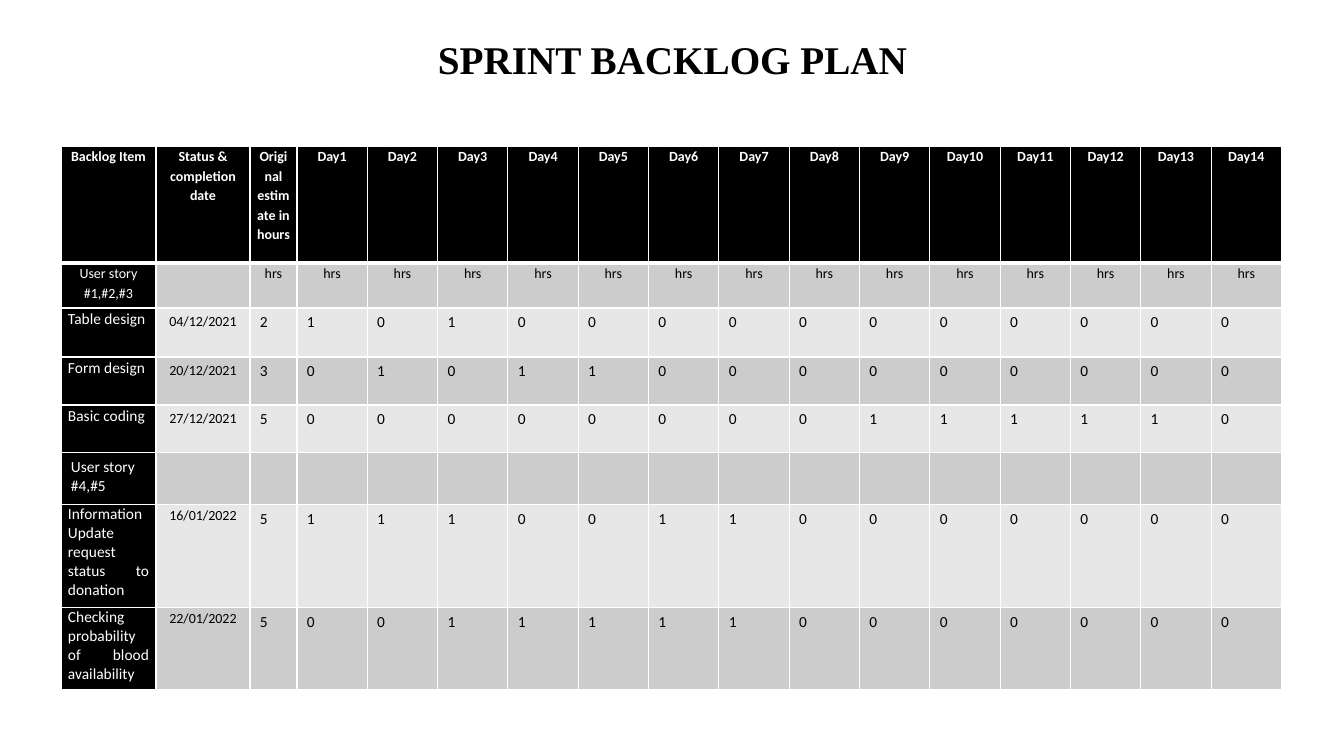
"""Build the sprint backlog plan slide."""
from lxml import etree
from pptx import Presentation
from pptx import util as u
from pptx.dml.color import RGBColor
from pptx.enum import text as t
from pptx.oxml.ns import qn

TITLE = "SPRINT BACKLOG PLAN"
DAYS = 14
ROWS = [
    ["Backlog Item", "Status & completion date", "Original estimate in hours"]
    + [f"Day{n + 1}" for n in range(DAYS)],
    ["User story #1,#2,#3", ""] + ["hrs"] * (DAYS + 1),
    ["Table design", "04/12/2021", "2", *"10100000000000"],
    ["Form design", "20/12/2021", "3", *"01011000000000"],
    ["Basic coding", "27/12/2021", "5", *"00000000111110"],
    ["User story #4,#5"] + [""] * (DAYS + 2),
    ["Information Update request status to donation", "16/01/2022", "5",
     *"11100110000000"],
    ["Checking probability of blood availability", "22/01/2022", "5",
     *"00111110000000"],
]
HIGH = [117, 45, 49, 48, 48, 52, 103, 82]
LEAD = [95, 94, 47]
LEFT, TOP, SPAN = 61, 146, 985

BLACK = RGBColor(0, 0, 0)
WHITE = RGBColor(255, 255, 255)
DARK = RGBColor(0xCC, 0xCC, 0xCC)
LIGHT = RGBColor(0xE7, 0xE7, 0xE7)

MID, JUST, FLUSH = t.PP_ALIGN.CENTER, t.PP_ALIGN.JUSTIFY, t.PP_ALIGN.LEFT
HEAD = (7, 0, 10, MID, 1.15)
ITEM = (7, 0, 11, FLUSH, 1.07)
LONG = (7, 0, 11, JUST, 1.0)
DATE = (11, 5, 10, MID, 1.0)
PLAIN = (10, 5, 11, FLUSH, 1.0)


def px(n):
    return u.Emu(round(n * 914400 / 100.8))


def look(row, col):
    if row < 2:
        return HEAD
    if row == 5 or col > 1:
        return PLAIN
    if col == 1:
        return DATE if row < 5 else HEAD
    return ITEM if row < 5 else LONG


def edge(cell, row):
    props = cell._tc.get_or_add_tcPr()
    wide = {"lnT": 3 if row == 1 else 1, "lnB": 3 if row == 0 else 1}
    for side in ("lnL", "lnR", "lnT", "lnB"):
        line = etree.SubElement(props, qn(f"a:{side}"),
                                w=str(u.Pt(wide.get(side, 1))))
        fill = etree.SubElement(line, qn("a:solidFill"))
        etree.SubElement(fill, qn("a:srgbClr"), val=str(WHITE))


def write(frame, words, font, size, color, bold, align, space):
    frame.text = words
    para = frame.paragraphs[0]
    para.alignment, para.line_spacing = align, space
    for run in para.runs:
        run.font.name, run.font.size = font, u.Pt(size)
        run.font.bold, run.font.color.rgb = bold, color


def paint(cell, row, col, words):
    side, rim, size, align, space = look(row, col)
    black = row == 0 or col == 0
    edge(cell, row)
    cell.fill.solid()
    cell.fill.fore_color.rgb = BLACK if black else DARK if row % 2 else LIGHT
    cell.margin_left = cell.margin_right = px(side)
    cell.margin_top = cell.margin_bottom = px(rim)
    write(cell.text_frame, words, "Calibri", size,
          WHITE if black else BLACK, row == 0, align, space)


def main():
    deck = Presentation()
    deck.slide_width, deck.slide_height = px(1344), px(756)
    slide = deck.slides.add_slide(deck.slide_layouts[5])

    title = slide.shapes.title
    title.left, title.top, title.width, title.height = map(
        px, (93, 25, 1159, 146))
    frame = title.text_frame
    frame.vertical_anchor = t.MSO_ANCHOR.TOP
    frame.margin_top = px(16)
    write(frame, TITLE, "Times New Roman", 28, BLACK, True, MID, 0.9)

    wide = LEAD + [SPAN / DAYS] * DAYS
    grid = slide.shapes.add_table(
        len(ROWS), len(wide), px(LEFT), px(TOP),
        px(sum(wide)), px(sum(HIGH))).table
    for col, size in zip(grid.columns, wide):
        col.width = px(size)
    for r, (size, words) in enumerate(zip(HIGH, ROWS)):
        grid.rows[r].height = px(size)
        for c, word in enumerate(words):
            paint(grid.cell(r, c), r, c, word)
    deck.save("out.pptx")


if __name__ == "__main__":
    main()
